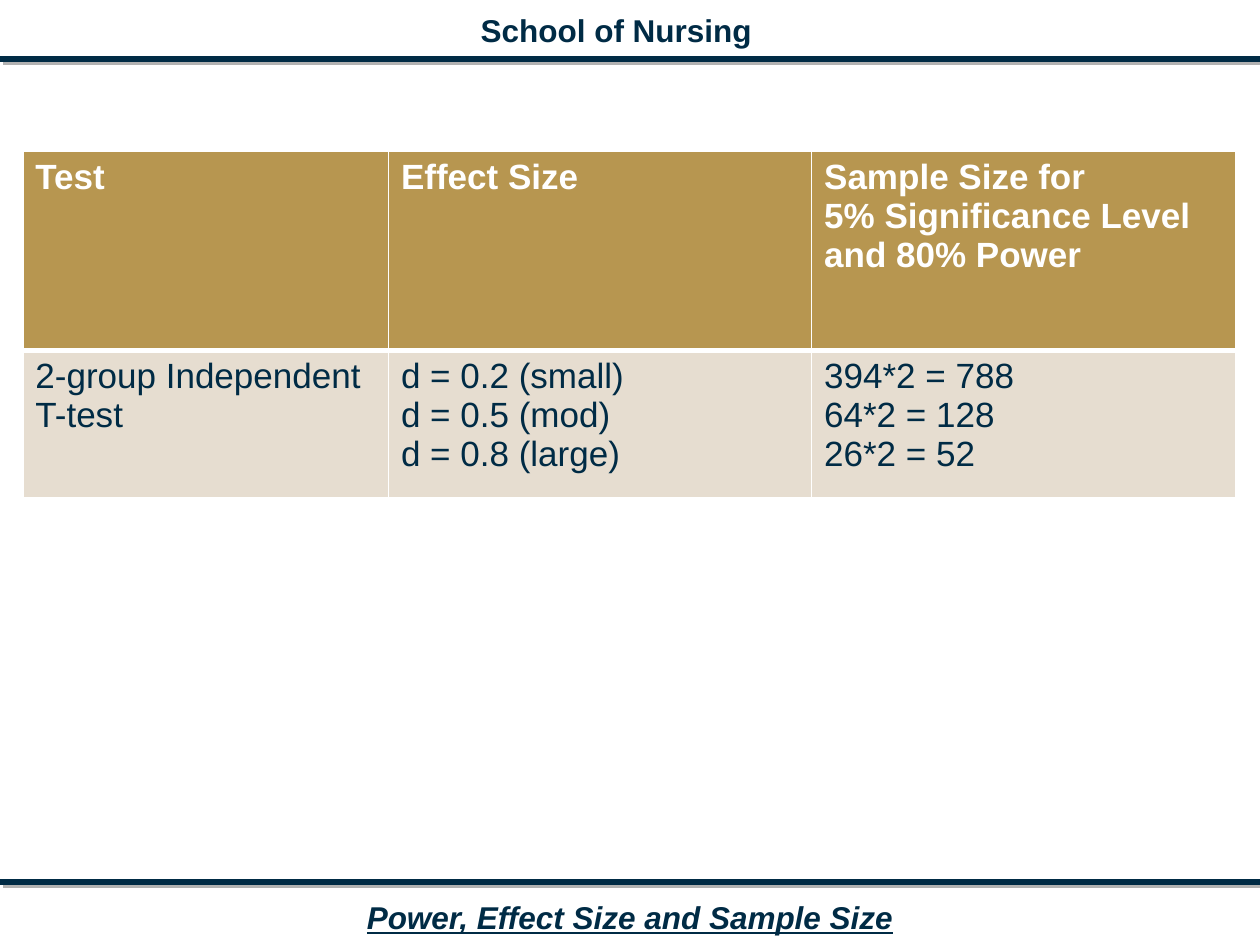
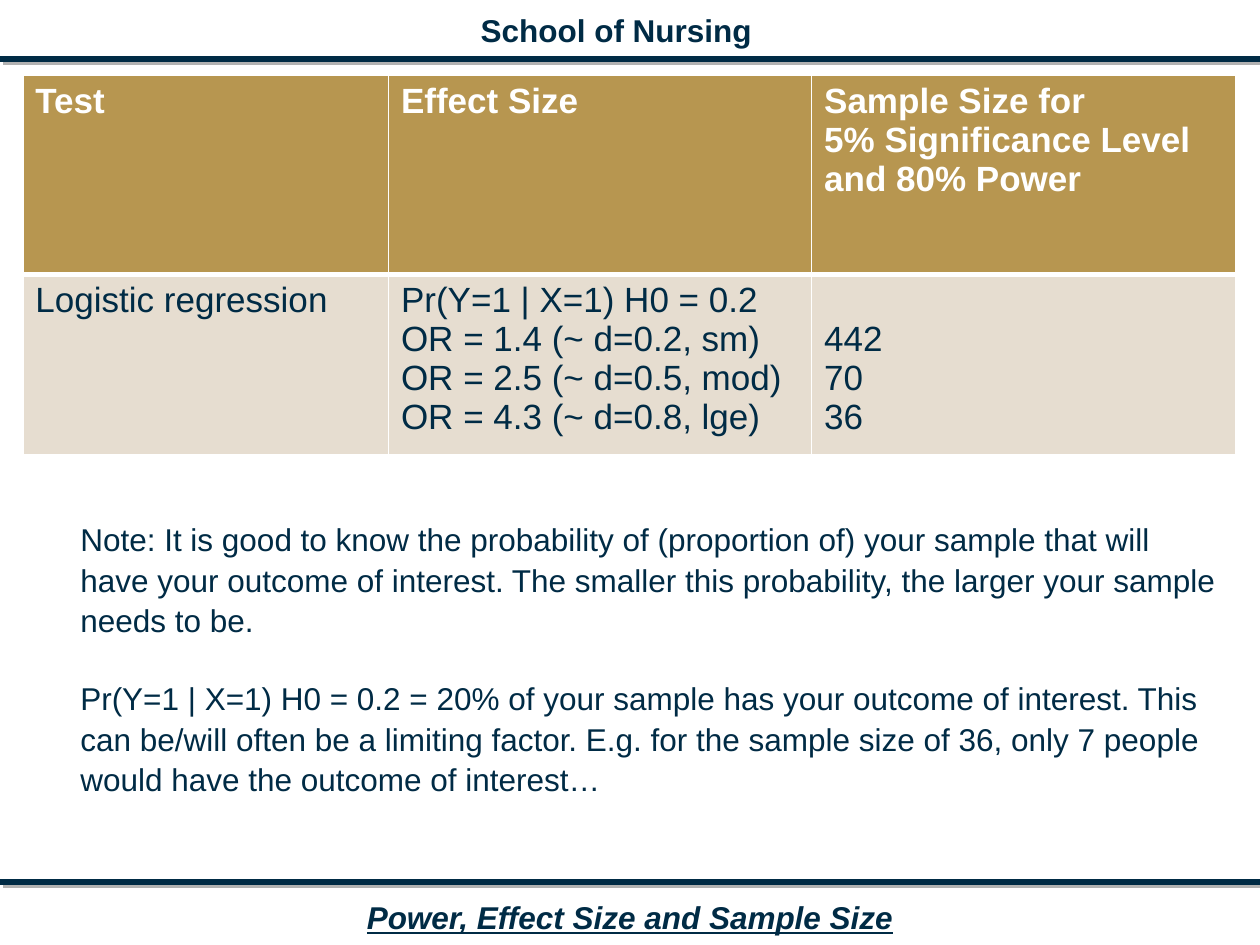
import pptx
import pptx.dml.color
import pptx.enum.shapes
import pptx.enum.text
import pptx.oxml
import pptx.oxml.ns
import pptx.util

Cm, Pt = pptx.util.Cm, pptx.util.Pt

HEADER = ["Test"], ["Effect Size"], [
    "Sample Size for", "5% Significance Level", "and 80% Power"]
# An empty first line in a cell lowers its text by one line.
SLIDES = [
    {
        "table_top": 3.05,
        "body_height": 2.97,
        "body": (
            ["2-group Independent", "T-test"],
            ["d = 0.2 (small)", "d = 0.5 (mod)", "d = 0.8 (large)"],
            ["394*2 = 788", "64*2 = 128", "26*2 = 52"],
        ),
        "notes": [],
    },
    {
        "table_top": 1.52,
        "body_height": 3.63,
        "body": (
            ["Logistic regression"],
            ["Pr(Y=1 | X=1) H0 = 0.2", "OR = 1.4 (~ d=0.2, sm)",
             "OR = 2.5 (~ d=0.5, mod)", "OR = 4.3 (~ d=0.8, lge)"],
            ["", "442", "70", "36"],
        ),
        "notes": [
            "Note: It is good to know the probability of (proportion of) your sample "
            "that will have your outcome of interest. The smaller this probability, "
            "the larger your sample needs to be.",
            "Pr(Y=1 | X=1) H0 = 0.2 = 20% of your sample has your outcome of interest. "
            "This can be/will often be a limiting factor. E.g. for the sample size of "
            "36, only 7 people would have the outcome of interest…",
        ],
    },
]

COLORS = {"navy": "002B45", "gold": "B79650", "sand": "E6DDD0",
          "white": "FFFFFF", "shadow": "B2B2B2"}
FONT = "Arial"
SLIDE_WIDTH, SLIDE_HEIGHT = 25.4, 19.05
RULE_TOPS = 1.19, 17.78
BANDS = [
    ("School of Nursing", (9.4, 0.1, 6.05, 1.02), {"bold": True}),
    ("Power, Effect Size and Sample Size", (7.11, 17.98, 11.18, 1.02),
     {"bold": True, "italic": True, "underline": True}),
]
TABLE_LEFT = 0.46
COLUMN_WIDTHS = 7.37, 8.53, 8.56
HEADER_HEIGHT = 4.01
CELL_LINE = Pt(22.3)
NOTE_BOX = 1.37, 10.31, 23.57, 5.64


def rgb(name):
    return pptx.dml.color.RGBColor.from_string(COLORS[name])


def write(frame, lines, size, color, paragraph_format=None, **font_format):
    for index, line in enumerate(lines):
        paragraph = frame.paragraphs[0] if index == 0 else frame.add_paragraph()
        for key, value in (paragraph_format or {}).items():
            if index or key != "space_before":
                setattr(paragraph, key, value)
        run = paragraph.add_run()
        run.text = line
        run.font.color.rgb = rgb(color)
        for key, value in {"name": FONT, "size": Pt(size), **font_format}.items():
            setattr(run.font, key, value)


def add_text(slide, box, lines, wrap, **text_format):
    frame = slide.shapes.add_textbox(*map(Cm, box)).text_frame
    frame.word_wrap = wrap
    frame.auto_size = pptx.enum.text.MSO_AUTO_SIZE.SHAPE_TO_FIT_TEXT
    write(frame, lines, 18, "navy", **text_format)


def add_rule(slide, top):
    rule = slide.shapes.add_connector(
        pptx.enum.shapes.MSO_CONNECTOR.STRAIGHT,
        Cm(0), Cm(top), Cm(SLIDE_WIDTH), Cm(top))
    rule.line.color.rgb = rgb("navy")
    rule.line.width = Pt(3)
    rule.element.spPr.append(pptx.oxml.parse_xml(
        f'<a:effectLst {pptx.oxml.ns.nsdecls("a")}>'
        f'<a:outerShdw dist="{Pt(2.8)}" dir="2700000" algn="ctr" rotWithShape="0">'
        f'<a:srgbClr val="{COLORS["shadow"]}"/></a:outerShdw></a:effectLst>'))


def add_borders(cell, widths):
    for side, width in widths.items():
        cell._tc.get_or_add_tcPr().append(pptx.oxml.parse_xml(
            f'<a:ln{side} {pptx.oxml.ns.nsdecls("a")} w="{Pt(width)}"><a:solidFill>'
            f'<a:srgbClr val="{COLORS["white"]}"/></a:solidFill></a:ln{side}>'))


def add_test_table(slide, top, body, body_height):
    heights = HEADER_HEIGHT, body_height
    table = slide.shapes.add_table(
        2, len(COLUMN_WIDTHS), Cm(TABLE_LEFT), Cm(top),
        Cm(sum(COLUMN_WIDTHS)), Cm(sum(heights))).table
    for column, width in zip(table.columns, COLUMN_WIDTHS):
        column.width = Cm(width)
    row_styles = [(HEADER, "gold", "white", True, 1, 3),
                  (body, "sand", "navy", False, 3, 1)]
    for r, (texts, fill, color, bold, above, below) in enumerate(row_styles):
        table.rows[r].height = Cm(heights[r])
        for c, lines in enumerate(texts):
            cell = table.cell(r, c)
            add_borders(cell, {"L": 1, "R": 1, "T": above, "B": below})
            cell.fill.solid()
            cell.fill.fore_color.rgb = rgb(fill)
            if not lines[0]:
                cell.margin_top += CELL_LINE
                lines = lines[1:]
            write(cell.text_frame, lines, 20, color, bold=bold)


def main():
    deck = pptx.Presentation()
    deck.slide_width, deck.slide_height = Cm(SLIDE_WIDTH), Cm(SLIDE_HEIGHT)
    blank_layout = deck.slide_layouts[6]
    centred = {"alignment": pptx.enum.text.PP_ALIGN.CENTER}
    for content in SLIDES:
        slide = deck.slides.add_slide(blank_layout)
        for top in RULE_TOPS:
            add_rule(slide, top)
        for text, box, font_format in BANDS:
            add_text(slide, box, [text], False, paragraph_format=centred, **font_format)
        add_test_table(slide, content["table_top"], content["body"],
                       content["body_height"])
        if content["notes"]:
            add_text(slide, NOTE_BOX, content["notes"], True,
                     paragraph_format={"line_spacing": 1.07, "space_before": Pt(21.6)})
    deck.save("out.pptx")


if __name__ == "__main__":
    main()
